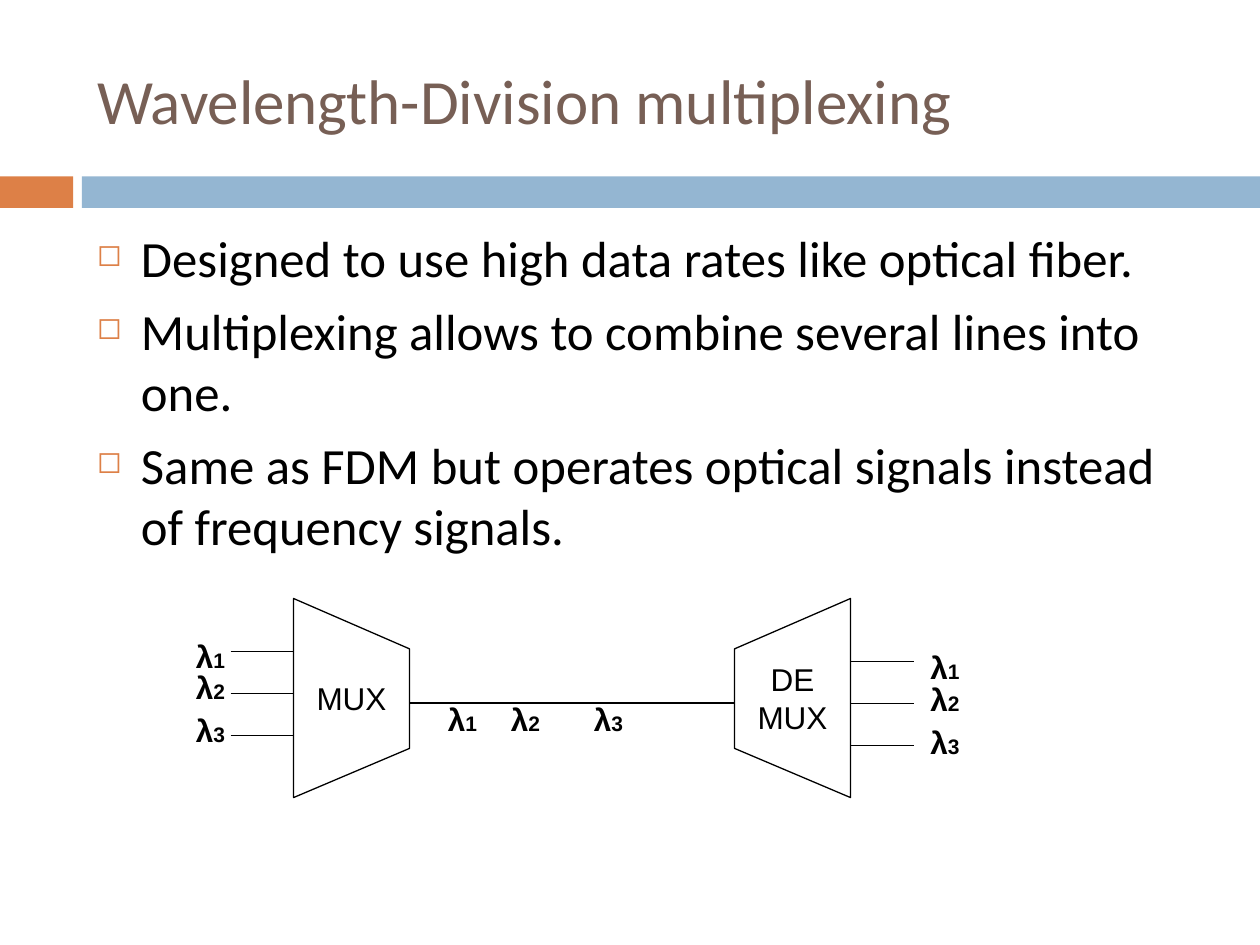
import pptx
import pptx.dml.color
import pptx.enum.shapes
import pptx.enum.text
import pptx.oxml
import pptx.oxml.ns
import pptx.util
from lxml import etree

Inches = pptx.util.Inches
Pt = pptx.util.Pt
ALIGN = pptx.enum.text.PP_ALIGN
ANCHOR = pptx.enum.text.MSO_ANCHOR
NS = pptx.oxml.ns.nsdecls("a")


def rgb(value):
    return pptx.dml.color.RGBColor.from_string(value)


def add_text(p, text, size=18, font="Arial", color="000000", bold=False):
    r = p.add_run()
    r.text = text
    r.font.size = Pt(size)
    r.font.name = font
    r.font.bold = bold
    r.font.color.rgb = rgb(color)


class SlideBuilder:
    ink = "000000"
    accent = "DD8047"
    band = "94B6D2"
    heading = "775F55"
    body_font = "Calibri"
    line_width = 0.75

    def __init__(self, prs):
        self.s = prs.slides.add_slide(prs.slide_layouts[5])

    def bar(self, left, width, color):
        sp = self.s.shapes.add_shape(
            pptx.enum.shapes.MSO_SHAPE.RECTANGLE,
            Inches(left), Inches(1.4), Inches(width), Inches(0.25))
        sp.shadow.inherit = False
        sp.fill.solid()
        sp.fill.fore_color.rgb = rgb(color)
        sp.line.fill.background()

    def title(self, text):
        sp = self.s.shapes.title
        sp.left, sp.top = Inches(0.67), Inches(0.25)
        sp.width, sp.height = Inches(8.92), Inches(1.08)
        tf = sp.text_frame
        tf.vertical_anchor = ANCHOR.MIDDLE
        p = tf.paragraphs[0]
        p.alignment = ALIGN.LEFT
        add_text(p, text, size=36, font=self.body_font, color=self.heading)

    def bullets(self, items):
        sp = self.s.shapes.add_textbox(
            Inches(0.67), Inches(1.75), Inches(8.92), Inches(4.92))
        tf = sp.text_frame
        tf.word_wrap = True
        for i, item in enumerate(items):
            p = tf.add_paragraph() if i else tf.paragraphs[0]
            pPr = p._p.get_or_add_pPr()
            pPr.set("marL", str(Inches(0.35)))
            pPr.set("indent", str(-Inches(0.35)))
            for xml in (
                f'<a:buClr {NS}><a:srgbClr val="{self.accent}"/></a:buClr>',
                f'<a:buSzPct {NS} val="60000"/>',
                f'<a:buChar {NS} char="◻"/>',
            ):
                pPr.append(pptx.oxml.parse_xml(xml))
            p.space_before = Pt(7 if i else 0)
            add_text(p, item, size=29, font=self.body_font)

    def trapezoid(self, wide_x, narrow_x, lines):
        points = [(wide_x, 4.75), (narrow_x, 5.15),
                  (narrow_x, 5.94), (wide_x, 6.33)]
        points = [(Inches(x), Inches(y)) for x, y in points]
        builder = self.s.shapes.build_freeform(*points[0])
        builder.add_line_segments(points[1:], close=True)
        sp = builder.convert_to_shape()
        sp.shadow.inherit = False
        sp.fill.background()
        sp.line.color.rgb = rgb(self.ink)
        sp.line.width = Pt(self.line_width)
        tf = sp.text_frame
        tf.word_wrap = False
        tf.vertical_anchor = ANCHOR.MIDDLE
        for i, text in enumerate(lines):
            p = tf.add_paragraph() if i else tf.paragraphs[0]
            p.alignment = ALIGN.CENTER
            add_text(p, text)

    def line(self, x1, x2, y):
        cn = self.s.shapes.add_connector(
            pptx.enum.shapes.MSO_CONNECTOR.STRAIGHT,
            Inches(x1), Inches(y), Inches(x2), Inches(y))
        cn.line.color.rgb = rgb(self.ink)
        cn.line.width = Pt(self.line_width)
        etree.SubElement(cn._element.spPr, pptx.oxml.ns.qn("a:effectLst"))

    def wavelength(self, left, top, number):
        sp = self.s.shapes.add_textbox(
            Inches(left), Inches(top), Inches(0.5), Inches(0.25))
        tf = sp.text_frame
        tf.word_wrap = False
        tf.vertical_anchor = ANCHOR.MIDDLE
        p = tf.paragraphs[0]
        p.alignment = ALIGN.CENTER
        add_text(p, "λ", bold=True)
        add_text(p, str(number), size=12, bold=True)


def main():
    prs = pptx.Presentation()
    prs.slide_width, prs.slide_height = Inches(10), Inches(7.5)
    b = SlideBuilder(prs)
    b.bar(0, 0.58, b.accent)
    b.bar(0.65, 9.35, b.band)
    b.title("Wavelength-Division multiplexing")
    b.bullets([
        "Designed to use high data rates like optical fiber.",
        "Multiplexing allows to combine several lines into one.",
        "Same as FDM but operates optical signals instead of frequency signals.",
    ])

    b.trapezoid(2.33, 3.25, ["MUX"])
    b.trapezoid(6.75, 5.83, ["DE", "MUX"])
    b.line(3.25, 5.83, 5.58)
    for line_x, line_y, label_x, label_y in (
        (1.83, 5.17, 1.42, 5.08),
        (6.75, 5.25, 7.25, 5.17),
    ):
        for i, label_offset in enumerate((0, 0.25, 0.59)):
            b.line(line_x, line_x + 0.5, line_y + i / 3)
            b.wavelength(label_x, label_y + label_offset, i + 1)
    for number, left in enumerate((3.42, 3.92, 4.58), 1):
        b.wavelength(left, 5.58, number)
    prs.save("out.pptx")


if __name__ == "__main__":
    main()
